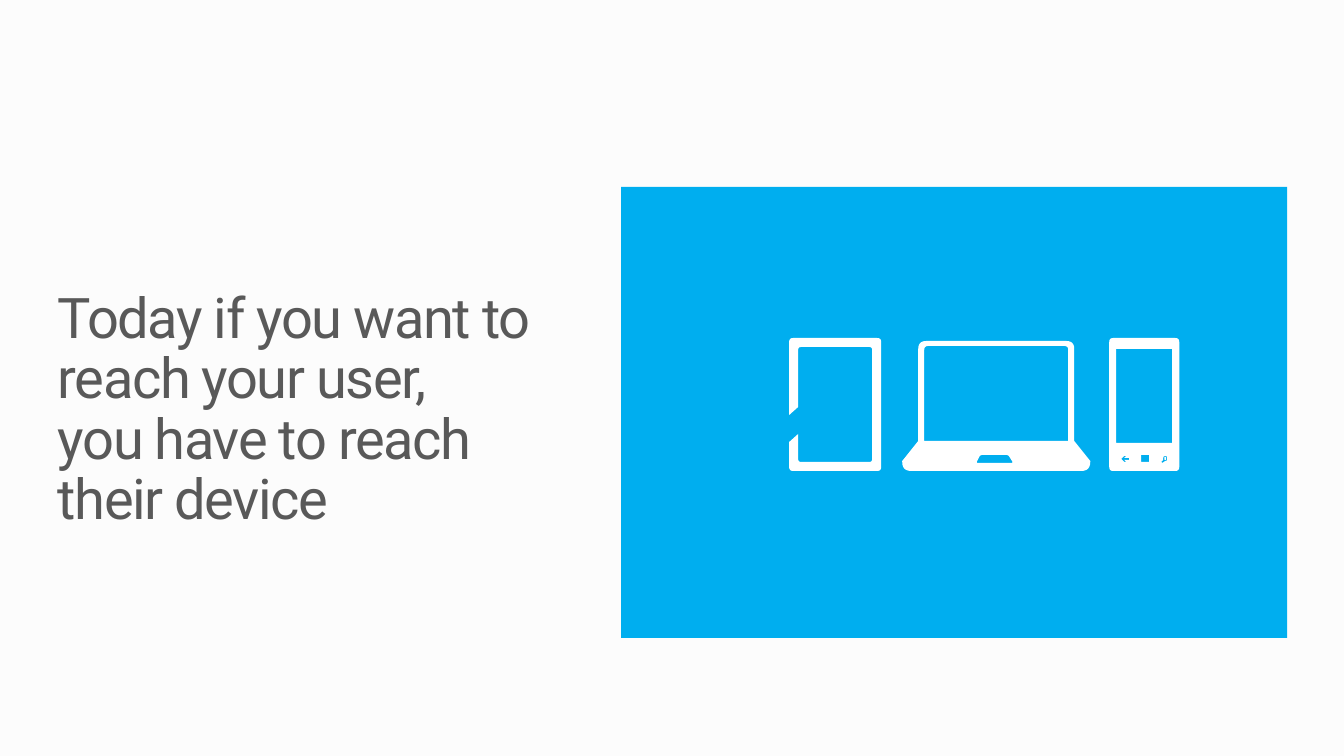
from dataclasses import dataclass

from pptx import Presentation
from pptx.dml.color import RGBColor
from pptx.enum.shapes import MSO_SHAPE
from pptx.enum.text import MSO_ANCHOR, MSO_AUTO_SIZE
from pptx.util import Inches, Pt

EMU_PER_PX = 914400 / 100.8
CURVE_STEPS = 6
COLORS = {"background": "FCFCFC", "panel": "00AEEF", "device": "FFFFFF", "text": "595959"}
STATEMENT = "Today if you want to \vreach your user, \vyou have to reach \vtheir device"


@dataclass(frozen=True)
class Corner:
    x: int
    y: int
    radius: int = 0


@dataclass(frozen=True)
class Device:
    contours: tuple[tuple[Corner, ...], ...]


def px(value: float) -> int:
    return round(value * EMU_PER_PX)


def rgb(name: str) -> RGBColor:
    return RGBColor.from_string(COLORS[name])


def box(left: int, top: int, right: int, bottom: int, radius: int = 0) -> tuple[Corner, ...]:
    points = ((left, top), (right, top), (right, bottom), (left, bottom))
    return tuple(Corner(x, y, radius) for x, y in points)


def toward(start: Corner, end: Corner, distance: int) -> tuple[float, float]:
    dx, dy = end.x - start.x, end.y - start.y
    share = distance / (dx * dx + dy * dy) ** 0.5
    return start.x + dx * share, start.y + dy * share


def rounded(contour: tuple[Corner, ...]) -> list[tuple[int, int]]:
    points = []
    for i, corner in enumerate(contour):
        if not corner.radius:
            points.append((px(corner.x), px(corner.y)))
            continue
        x0, y0 = toward(corner, contour[i - 1], corner.radius)
        x1, y1 = toward(corner, contour[(i + 1) % len(contour)], corner.radius)
        for step in range(CURVE_STEPS + 1):
            t = step / CURVE_STEPS
            a, b, c = (1 - t) ** 2, 2 * t * (1 - t), t * t
            points.append((px(a * x0 + b * corner.x + c * x1),
                           px(a * y0 + b * corner.y + c * y1)))
    return points


TABLET = Device(((
    Corner(798, 407), Corner(798, 347, 3), Corner(872, 347, 3), Corner(872, 462, 3),
    Corner(798, 462, 3), Corner(798, 434), Corner(789, 442), Corner(789, 471, 4),
    Corner(881, 471, 4), Corner(881, 338, 4), Corner(789, 338, 4), Corner(789, 415),
),))

LAPTOP = Device((
    (Corner(1074, 441), Corner(1074, 341, 8), Corner(918, 341, 8), Corner(918, 441),
     Corner(902, 461), Corner(902, 471, 9), Corner(1090, 471, 9), Corner(1090, 461)),
    (Corner(924, 441), Corner(924, 346, 4), Corner(1068, 346, 4), Corner(1068, 441)),
    (Corner(976, 463, 2), Corner(980, 455, 2), Corner(1008, 455, 2), Corner(1013, 463, 2)),
))

PHONE = Device((
    box(1109, 338, 1179, 471, 4),
    box(1116, 349, 1172, 443),
    (Corner(1121, 459), Corner(1124, 456), Corner(1126, 456), Corner(1124, 458),
     Corner(1129, 458), Corner(1129, 460), Corner(1124, 460), Corner(1126, 462),
     Corner(1124, 462)),
    box(1141, 455, 1149, 462),
    (Corner(1163, 456, 2), Corner(1167, 456, 2), Corner(1167, 461, 2), Corner(1165, 461),
     Corner(1162, 463), Corner(1161, 462), Corner(1163, 460)),
    box(1164, 457, 1166, 460, 1),
))


def paint(sp, color: str) -> None:
    sp.shadow.inherit = False
    sp.fill.solid()
    sp.fill.fore_color.rgb = rgb(color)
    sp.line.fill.background()


def add_panel(s) -> None:
    sp = s.shapes.add_shape(MSO_SHAPE.RECTANGLE, px(621), px(187), px(666), px(451))
    paint(sp, "panel")


def add_statement(s) -> None:
    sp = s.shapes.add_textbox(px(58), px(290), px(564), px(244))
    tf = sp.text_frame
    tf.word_wrap = True
    tf.auto_size = MSO_AUTO_SIZE.SHAPE_TO_FIT_TEXT
    tf.vertical_anchor = MSO_ANCHOR.TOP
    tf.margin_left = tf.margin_right = tf.margin_top = tf.margin_bottom = 0
    p = tf.paragraphs[0]
    p.text = STATEMENT
    p.line_spacing = 0.9
    p.space_after = Pt(9)
    for r in p.runs:
        r.font.name = "Roboto"
        r.font.size = Pt(40)
        r.font.color.rgb = rgb("text")
        r._r.get_or_add_rPr().set("spc", "-102")


def add_device(s, device: Device) -> None:
    first, *others = [rounded(contour) for contour in device.contours]
    builder = s.shapes.build_freeform(*first[0], scale=1.0)
    builder.add_line_segments(first[1:], close=True)
    for points in others:
        builder.move_to(*points[0])
        builder.add_line_segments(points[1:], close=True)
    paint(builder.convert_to_shape(), "device")


def main() -> None:
    prs = Presentation()
    prs.slide_width, prs.slide_height = Inches(13.33), Inches(7.5)
    s = prs.slides.add_slide(prs.slide_layouts[6])
    s.background.fill.solid()
    s.background.fill.fore_color.rgb = rgb("background")
    add_panel(s)
    add_statement(s)
    for device in (TABLET, LAPTOP, PHONE):
        add_device(s, device)
    prs.save("out.pptx")


if __name__ == "__main__":
    main()
